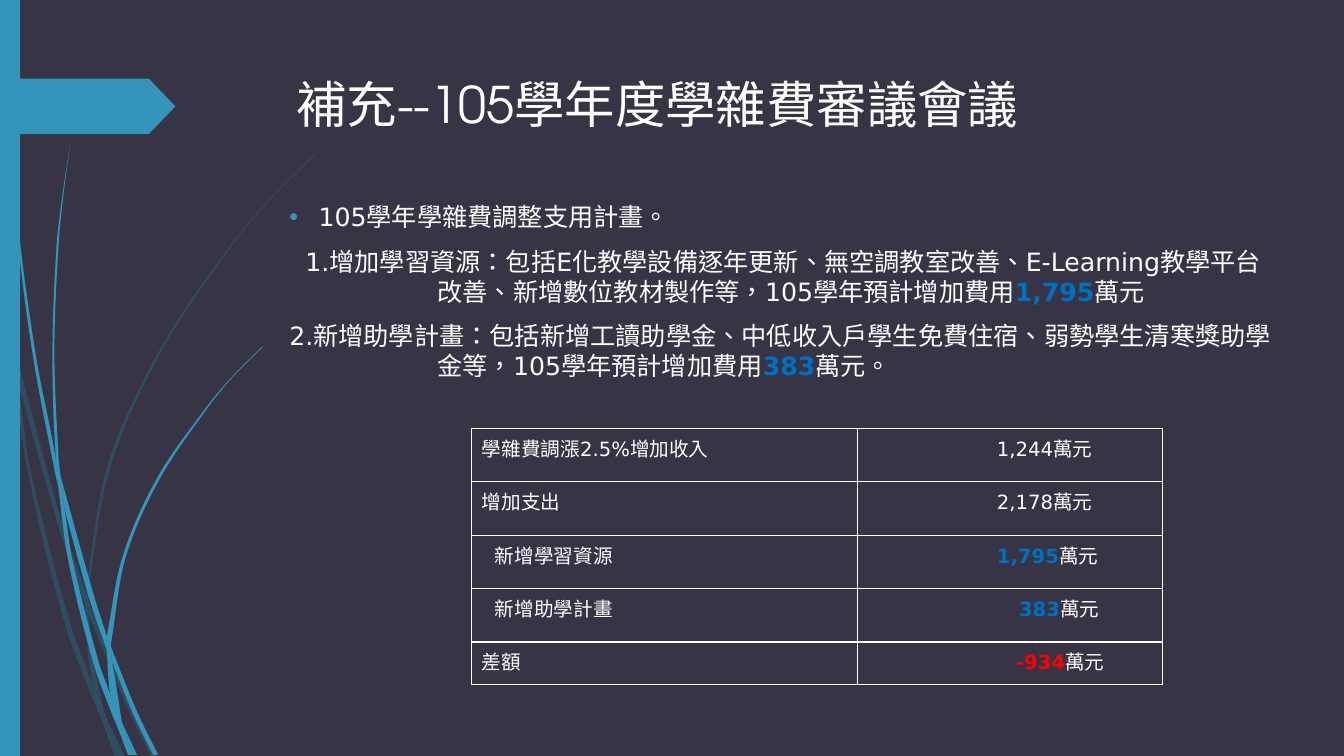
from math import dist
from pptx import Presentation
from pptx.dml.color import RGBColor
from pptx.enum.lang import MSO_LANGUAGE_ID as Lang
from pptx.enum.shapes import MSO_SHAPE as Shape
from pptx.enum.text import MSO_ANCHOR as Anchor, MSO_AUTO_SIZE as Fit, PP_ALIGN as Align
from pptx.oxml.ns import qn
from pptx.util import Inches, Pt
from lxml.etree import SubElement

HUES = {"back": "373545", "teal": "3494BA", "dim": "276F8B",
        "white": "FFFFFF", "blue": "0070C0", "red": "FF0000"}
SANS, HEAD = "DejaVu Sans", "TeX Gyre Adventor"

# Blades of grass, each a left and a right edge from top to bottom
DIM = [
    ([(0, 2.99), (.1, 3.44), (.11, 3.5)], [(0, 2.82), (.09, 3.22), (.11, 3.5)]),
    ([(.17, 3.76), (.58, 5.22), (.84, 5.99)], [(.14, 3.45), (.62, 5.2), (.85, 5.86)]),
    ([(.88, 6.1), (1.23, 6.94), (1.5, 7.51)],
     [(.88, 5.96), (.92, 6.07), (1.27, 6.92), (1.55, 7.51)]),
    ([(1.05, 7.11), (1.19, 7.51)], [(1.05, 7.11), (1.24, 7.51)]),
    ([(.11, 3.5), (.28, 4.7), (.65, 6.21), (.92, 6.93), (1.01, 7.14)],
     [(.11, 3.5), (.17, 3.76), (.31, 4.69), (.7, 6.19), (.93, 6.83), (1.01, 7.14)]),
    ([(.84, 5.99), (.87, 6.46), (.93, 6.83), (1.05, 7.11)],
     [(.84, 5.99), (.88, 6.1), (.91, 6.46), (1.03, 7.06), (1.05, 7.11)]),
    ([(3.12, 1.53), (2.68, 1.97), (2.28, 2.44), (1.58, 3.48), (1.07, 4.61), (.85, 5.86)],
     [(3.12, 1.54), (2.68, 1.98), (2.29, 2.45), (1.6, 3.49), (1.1, 4.62),
      (.88, 5.84), (.88, 5.96)]),
    ([(1.01, 7.14), (1.14, 7.51)], [(1.01, 7.14), (1.19, 7.51)]),
    ([(.85, 5.86), (.84, 5.99)], [(.85, 5.86), (.88, 5.96), (.88, 6.1)]),
    ([(.93, 6.83), (1.01, 7.14), (1.19, 7.51)],
     [(.93, 6.83), (1.05, 7.11), (1.19, 7.51)]),
]
TEAL = [
    ([(.03, 0), (.04, .48), (.07, 1.1), (.17, 2.33), (.33, 3.55), (.57, 4.81)],
     [(.04, 0), (.05, .48), (.08, 1.09), (.19, 2.32), (.36, 3.55), (.55, 4.53), (.57, 4.81)]),
    ([(.64, 5.05), (.88, 5.92), (1.06, 6.45)], [(.6, 4.72), (.93, 5.9), (1.06, 6.31)]),
    ([(1.11, 6.56), (1.32, 7.08), (1.52, 7.49)],
     [(1.1, 6.41), (1.13, 6.49), (1.36, 7.06), (1.57, 7.49)]),
    ([(.57, 4.77), (.68, 5.57), (.93, 6.59), (1.11, 7.08), (1.17, 7.22)],
     [(.57, 4.77), (.64, 5.05), (.72, 5.56), (.98, 6.57), (1.1, 6.91), (1.17, 7.22)]),
    ([(.7, 1.41), (.62, 1.93), (.56, 2.45), (.52, 3.49), (.55, 4.49), (.6, 4.72)],
     [(.7, 1.41), (.63, 1.93), (.58, 2.45), (.54, 3.49), (.58, 4.53), (.6, 4.72)]),
    ([(1.22, 7.19), (1.33, 7.49)], [(1.22, 7.19), (1.36, 7.49)]),
    ([(.55, 4.49), (.57, 4.77), (.64, 5.05)], [(.55, 4.49), (.6, 4.72), (.64, 5.05)]),
    ([(2.6, 3.44), (2.31, 3.73), (2.04, 4.05), (1.56, 4.74), (1.22, 5.51), (1.06, 6.31)],
     [(2.61, 3.44), (2.31, 3.74), (2.05, 4.06), (1.58, 4.76), (1.25, 5.52),
      (1.11, 6.33), (1.1, 6.41)]),
    ([(1.17, 7.22), (1.27, 7.49)], [(1.17, 7.22), (1.31, 7.49)]),
    ([(1.06, 6.45), (1.1, 6.91), (1.22, 7.19)],
     [(1.06, 6.45), (1.11, 6.56), (1.21, 7.16), (1.22, 7.19)]),
    ([(1.06, 6.31), (1.06, 6.45), (1.11, 6.56)], [(1.06, 6.31), (1.1, 6.41), (1.11, 6.56)]),
    ([(1.1, 6.91), (1.17, 7.22), (1.3, 7.49)],
     [(1.1, 6.91), (1.16, 7.06), (1.22, 7.19), (1.33, 7.49)]),
]

PLAN = [
    (.59, -.29, "•", [("105學年學雜費調整支用計畫。", "white")]),
    (1.77, -1.31, None,
     [("1.增加學習資源：包括E化教學設備逐年更新、無空調教室改善、E-Learning教學平台改善、"
       "新增數位教材製作等，105學年預計增加費用", "white"),
      ("1,795", "blue"), ("萬元", "white")]),
    (1.77, -1.47, None,
     [("2.新增助學計畫：包括新增工讀助學金、中低收入戶學生免費住宿、弱勢學生清寒獎助學金等，"
       "105學年預計增加費用", "white"),
      ("383", "blue"), ("萬元。", "white")]),
]

# Label, its indent, amount, its hue, its indent
COSTS = [
    ("學雜費調漲2.5%增加收入", 0, "1,244", "white", 1.28),
    ("增加支出", 0, "2,178", "white", 1.28),
    ("新增學習資源", .13, "1,795", "blue", 1.28),
    ("新增助學計畫", .13, "383", "blue", 1.5),
    ("差額", 0, "-934", "red", 1.47),
]


def color(name):
    return RGBColor.from_string(HUES[name])


def write(para, text, size=18, font=SANS, hue="white"):
    """Add a run; any hue but white marks a bold figure."""
    run = para.add_run()
    run.text = text
    run.font.size, run.font.name = Pt(size), font
    run.font.bold = hue != "white"
    run.font.color.rgb = color(hue)
    run.font.language_id = Lang.TRADITIONAL_CHINESE


def indent(para, left, first=0, mark=None):
    prop = para._p.get_or_add_pPr()
    prop.set("marL", str(Inches(left)))
    prop.set("indent", str(Inches(first)))
    if mark:
        tint = SubElement(prop, qn("a:buClr"))
        SubElement(tint, qn("a:srgbClr"), val=HUES["teal"])
        SubElement(prop, qn("a:buFont"), typeface="Arial")
        SubElement(prop, qn("a:buChar"), char=mark)
    else:
        SubElement(prop, qn("a:buNone"))


def paint(shape, hue, alpha=100):
    shape.shadow.inherit = False
    shape.fill.solid()
    shape.fill.fore_color.rgb = color(hue)
    shape.line.fill.background()
    if alpha < 100:
        tint = shape._element.spPr.find(qn("a:solidFill"))[0]
        SubElement(tint, qn("a:alpha"), val=str(alpha * 1000))


def handle(knot, back, ahead, reach):
    """Return the control point that lies from knot along back to ahead."""
    scale = reach / 3 / dist(back, ahead)
    return tuple(k + (a - b) * scale for k, b, a in zip(knot, back, ahead))


def curve(knots):
    """Return two handles and an end for each span of a smooth curve."""
    ends = [knots[0], *knots, knots[-1]]
    spots = []
    for a, b, c, d in zip(ends, ends[1:], ends[2:], ends[3:]):
        span = dist(b, c)
        spots += [handle(b, a, c, span), handle(c, d, b, span), c]
    return spots


def add_blade(slide, x, y, left, right, hue, alpha):
    edge = [left[0], *curve(left), *[right[-1]] * 3, *curve(right[::-1])]
    spots = [(Inches(x + u), Inches(y + v)) for u, v in edge]
    form = slide.shapes.build_freeform(*spots[0])
    form.add_line_segments(spots[1:], close=True)
    shape = form.convert_to_shape()
    lines = list(shape._element.iter(qn("a:lnTo")))
    for trio in zip(lines[::3], lines[1::3], lines[2::3]):
        bend = trio[0].getparent().makeelement(qn("a:cubicBezTo"))
        trio[0].addprevious(bend)
        for line in trio:
            bend.append(line[0])
            line.getparent().remove(line)
    paint(shape, hue, alpha)


def add_side(slide, x, y, high):
    for blades, hue, alpha in ((DIM, "dim", 40), (TEAL, "teal", 100)):
        for left, right in blades:
            add_blade(slide, x, y, left, right, hue, alpha)
    bar = slide.shapes.add_shape(Shape.RECTANGLE, *map(Inches, (x, y, .2, high)))
    flag = slide.shapes.add_shape(Shape.PENTAGON, *map(Inches, (x, y + .78, 1.74, .55)))
    flag.adjustments[0] = .48
    for shape in (bar, flag):
        paint(shape, "teal")


def open_frame(holder, box):
    holder.left, holder.top, holder.width, holder.height = map(Inches, box)
    frame = holder.text_frame
    frame.word_wrap, frame.auto_size = True, Fit.NONE
    frame.vertical_anchor = Anchor.TOP
    return frame


def add_title(slide, box):
    para = open_frame(slide.shapes.title, box).paragraphs[0]
    para.alignment = Align.LEFT
    write(para, "補充--105學年度學雜費審議會議", size=36, font=HEAD)


def add_plan(slide, box):
    frame = open_frame(slide.placeholders[1], box)
    for i, (left, first, mark, runs) in enumerate(PLAN):
        para = frame.add_paragraph() if i else frame.paragraphs[0]
        para.space_before = Pt(10)
        indent(para, left, first, mark)
        for text, hue in runs:
            write(para, text, hue=hue)


def add_edges(cell):
    prop = cell._tc.get_or_add_tcPr()
    for side in "LRTB":
        line = SubElement(prop, qn(f"a:ln{side}"), w=str(Pt(1)))
        fill = SubElement(line, qn("a:solidFill"))
        SubElement(fill, qn("a:srgbClr"), val=HUES["white"])
    cell.fill.background()


def add_costs(slide, box):
    table = slide.shapes.add_table(len(COSTS), 2, *map(Inches, box)).table
    table.first_row = table.horz_banding = False
    for col, wide in zip(table.columns, (3.83, 3.02)):
        col.width = Inches(wide)
    for row, (label, inset, cost, hue, shift) in zip(table.rows, COSTS):
        row.height = Inches(.42 if label == COSTS[-1][0] else .53)
        cells = (inset, [(label, "white")]), (shift, [(cost, hue), ("萬元", "white")])
        for cell, (left, runs) in zip(row.cells, cells):
            add_edges(cell)
            para = cell.text_frame.paragraphs[0]
            indent(para, left)
            for text, tone in runs:
                write(para, text, size=14, hue=tone)


def main():
    deck = Presentation()
    deck.slide_width, deck.slide_height = Inches(40 / 3), Inches(7.5)
    slide = deck.slides.add_slide(deck.slide_layouts[1])
    slide.background.fill.solid()
    slide.background.fill.fore_color.rgb = color("back")
    add_side(slide, 0, 0, 7.5)
    add_title(slide, (2.84, .68, 9.75, 1.4))
    add_plan(slide, (2.47, 1.95, 10.28, 4.84))
    add_costs(slide, (4.68, 4.25, 6.85, 2.54))
    deck.save("out.pptx")


if __name__ == "__main__":
    main()
